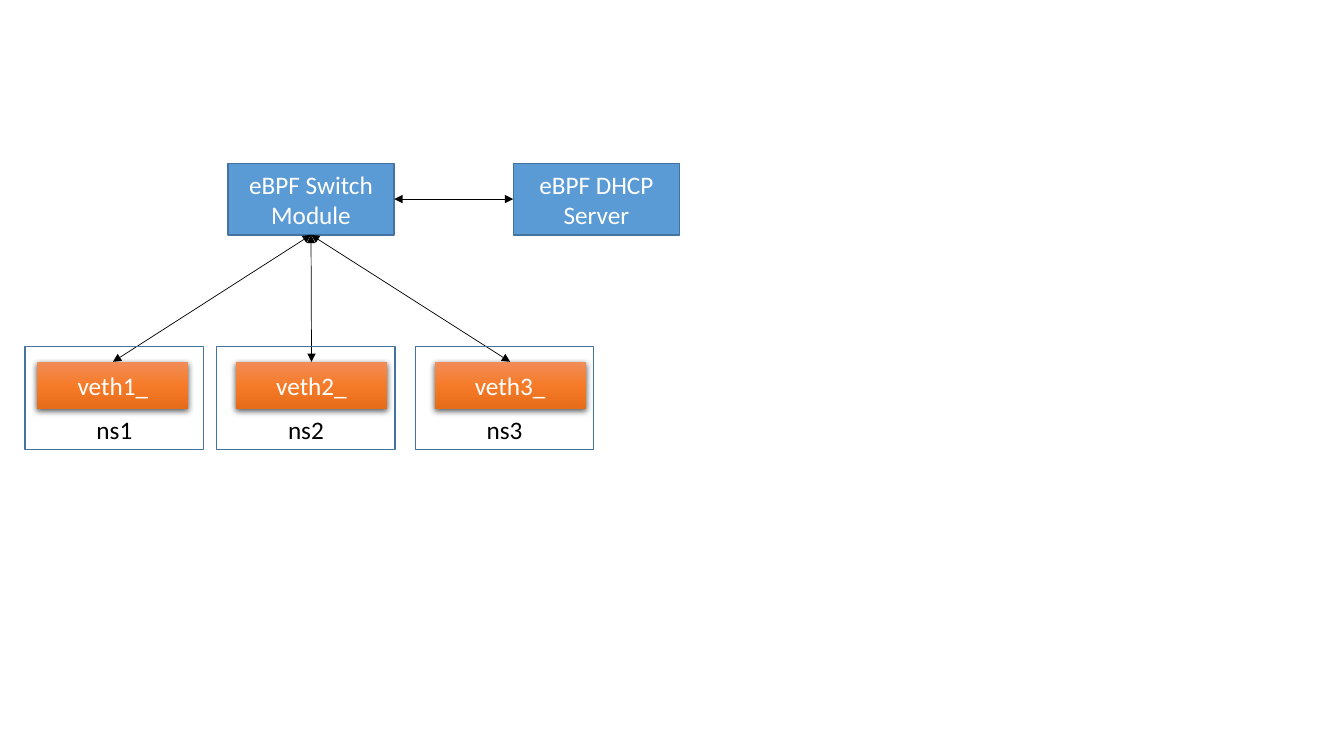
from lxml import etree
from copy import deepcopy
from pptx import Presentation
from pptx.dml.color import RGBColor
from pptx.enum.shapes import MSO_CONNECTOR, MSO_SHAPE
from pptx.enum.text import MSO_ANCHOR, PP_ALIGN
from pptx.oxml.ns import qn
from pptx.util import Inches, Pt

RECT = MSO_SHAPE.RECTANGLE
STRAIGHT = MSO_CONNECTOR.STRAIGHT
MIDDLE, BOTTOM = MSO_ANCHOR.MIDDLE, MSO_ANCHOR.BOTTOM
CENTER = PP_ALIGN.CENTER
TOP_SITE, LEFT_SITE, BOTTOM_SITE, RIGHT_SITE = range(4)

COLORS = {
    "module": "5B9BD5",
    "border": "43739E",
    "white": "FFFFFF",
    "black": "000000",
    "veth_top": "F18C57",
    "veth_middle": "F67B28",
    "veth_bottom": "E56C19",
}
RGB = {name: RGBColor.from_string(value) for name, value in COLORS.items()}

prs = Presentation()
prs.slide_width, prs.slide_height = Inches(13.33), Inches(7.5)
s = prs.slides.add_slide(prs.slide_layouts[6])


def add_box(text, left, top, width, height, color="white", anchor=MIDDLE):
    sp = s.shapes.add_shape(RECT, Inches(left), Inches(top), Inches(width), Inches(height))
    sp.shadow.inherit = False
    sp.fill.background()
    sp.line.color.rgb = RGB["border"]
    sp.line.width = Pt(1)
    tf = sp.text_frame
    tf.word_wrap = True
    tf.vertical_anchor = anchor
    p = tf.paragraphs[0]
    p.text = text
    p.alignment = CENTER
    r = p.runs[0]
    r.font.name = "Calibri"
    r.font.size = Pt(18)
    r.font.color.rgb = RGB[color]
    return sp


def add_arrow(start, start_site, end, end_site):
    c = s.shapes.add_connector(STRAIGHT, 0, 0, 0, 0)
    c.begin_connect(start, start_site)
    c.end_connect(end, end_site)
    c.line.color.rgb = RGB["black"]
    c.line.width = Pt(0.5)
    ln = c.line._get_or_add_ln()
    for end_tag in ("a:headEnd", "a:tailEnd"):
        etree.SubElement(ln, qn(end_tag), type="triangle")
    etree.SubElement(c._element.spPr, qn("a:effectLst"))


server = add_box("eBPF DHCP Server", 5.09, 1.62, 1.65, 0.71)
switch = add_box("eBPF Switch Module", 2.26, 1.62, 1.65, 0.71)
for sp in (server, switch):
    sp.fill.solid()
    sp.fill.fore_color.rgb = RGB["module"]
add_arrow(switch, RIGHT_SITE, server, LEFT_SITE)

veths = []
for i in range(3):
    sp = add_box(f"veth{i + 1}_", 0.37 + 1.97 * i, 3.59, 1.5, 0.47)
    sp.line.fill.background()
    sp.fill.gradient()
    sp.fill.gradient_angle = 270
    spPr = sp._element.spPr
    gsLst = spPr.find(qn("a:gradFill")).find(qn("a:gsLst"))
    gsLst.append(deepcopy(gsLst[-1]))
    for k, name in enumerate(("veth_top", "veth_middle", "veth_bottom")):
        stop = sp.fill.gradient_stops[k]
        stop.position = k / 2
        stop.color.rgb = RGB[name]
    shadow = etree.SubElement(
        spPr.find(qn("a:effectLst")), qn("a:outerShdw"),
        blurRad=str(Pt(4.5)), dist=str(Pt(1.5)), dir="5400000", algn="ctr", rotWithShape="0",
    )
    shadow_color = etree.SubElement(shadow, qn("a:srgbClr"), val=COLORS["black"])
    etree.SubElement(shadow_color, qn("a:alpha"), val="63000")
    veths.append(sp)

for veth in veths:
    add_arrow(switch, BOTTOM_SITE, veth, TOP_SITE)

for i, left in enumerate((0.25, 2.15, 4.12)):
    add_box(f"ns{i + 1}", left, 3.44, 1.77, 1.02, "black", BOTTOM)

prs.save("out.pptx")
